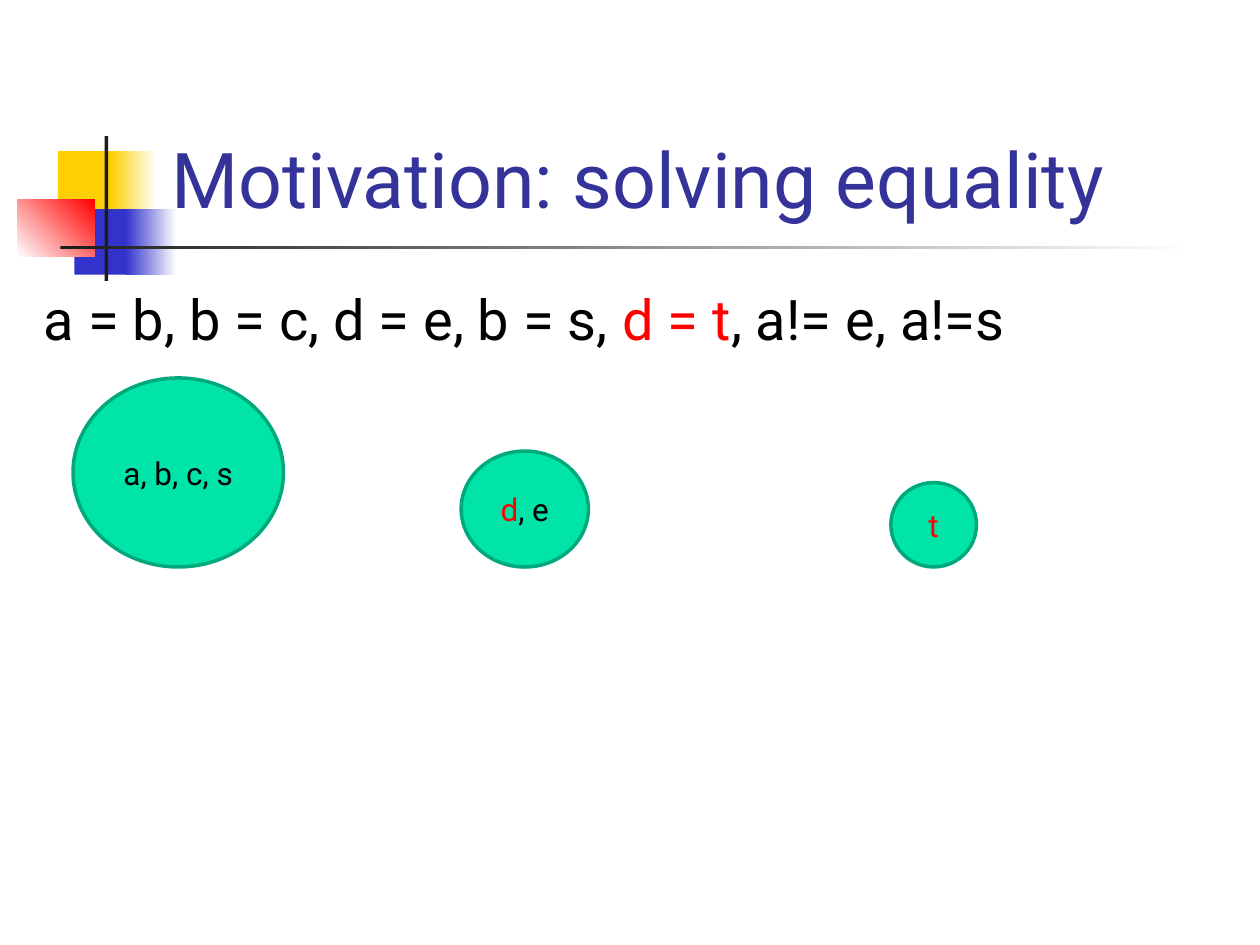
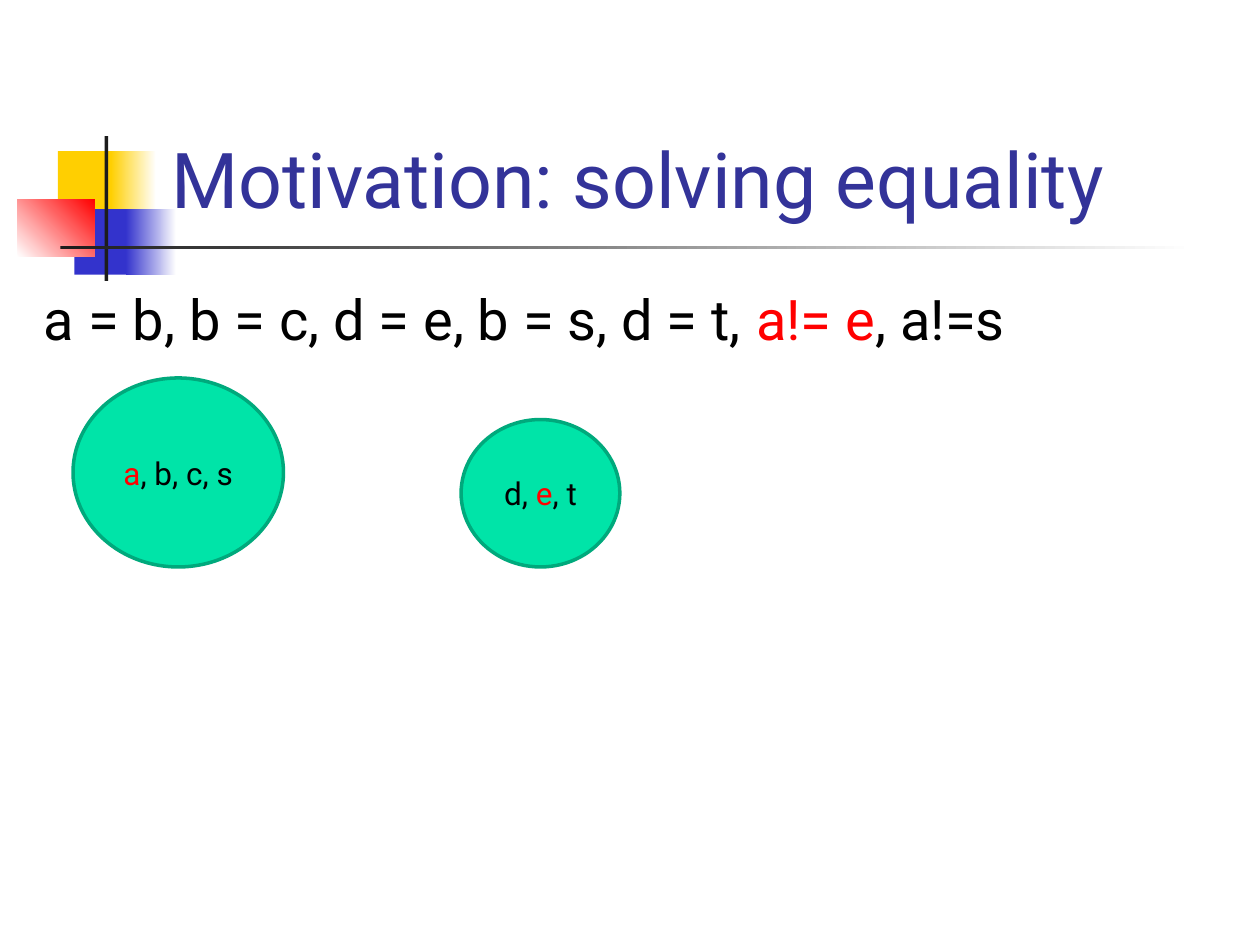
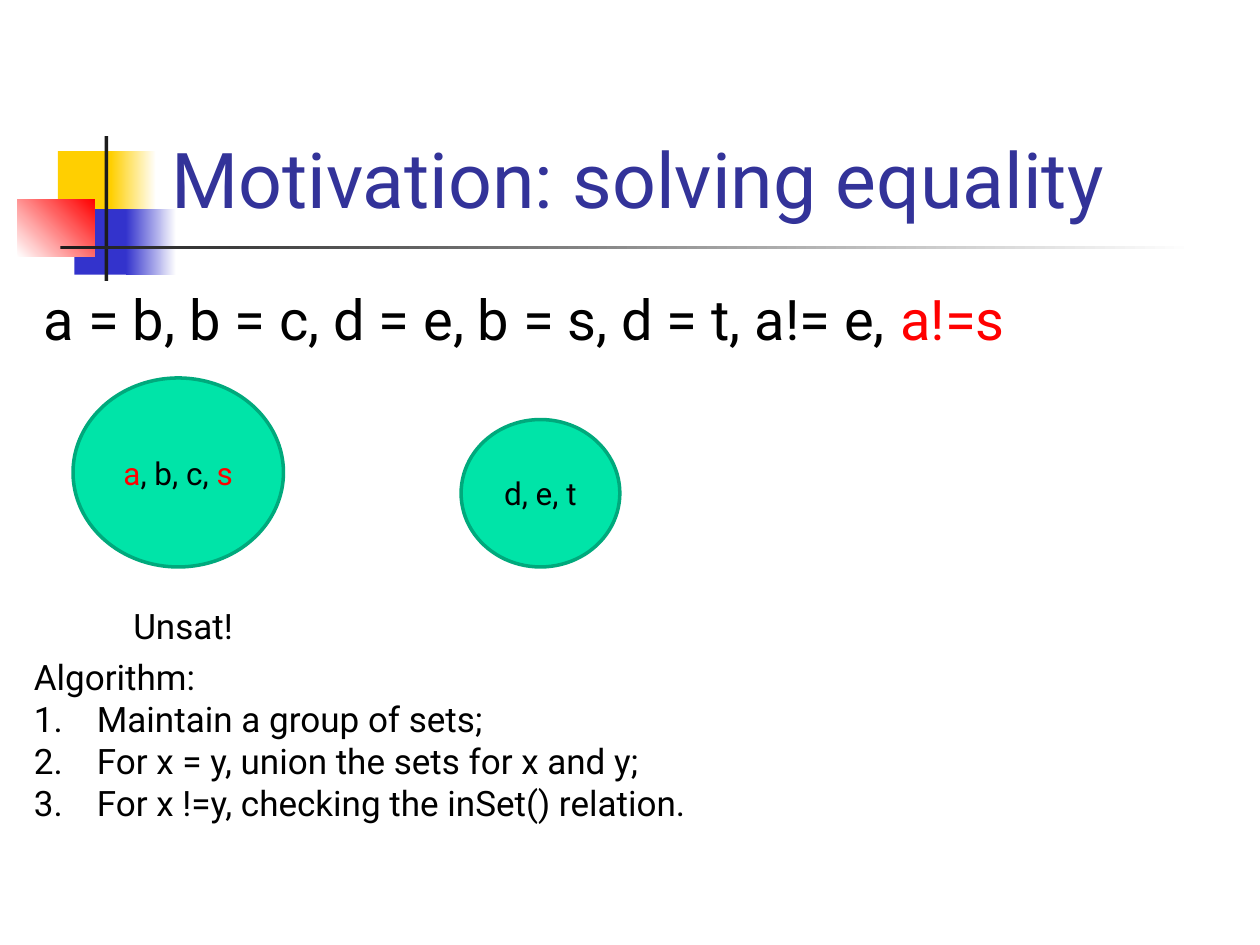
from dataclasses import dataclass

from lxml.etree import SubElement
from pptx import Presentation
from pptx.dml.color import RGBColor
from pptx.enum.shapes import MSO_SHAPE
from pptx.enum.text import MSO_ANCHOR, MSO_AUTO_SIZE, PP_ALIGN
from pptx.oxml.ns import qn
from pptx.shapes.autoshape import Shape
from pptx.slide import Slide
from pptx.text.text import TextFrame
from pptx.util import Inches, Pt


@dataclass(frozen=True)
class Theme:
    font: str = "Roboto"
    title: str = "333399"
    ink: str = "000000"
    highlight: str = "FF0000"
    paper: str = "FFFFFF"
    rule: str = "1C1C1C"
    yellow: str = "FFCF01"
    blue: str = "3333CC"
    class_fill: str = "00E4A8"
    class_line: str = "00A97C"
    title_size: int = 44
    formula_size: int = 32
    note_size: int = 20
    class_size: int = 18


THEME = Theme()


@dataclass(frozen=True)
class Box:
    left: float
    top: float
    width: float
    height: float


@dataclass(frozen=True)
class Block:
    """A part of the title ornament, fading to end_color if there is one."""
    box: Box
    color: str
    end_color: str | None = None
    angle: int = 0


@dataclass(frozen=True)
class EqualityClass:
    """A set of equal terms; terms between asterisks are highlighted."""
    terms: str
    left: float
    width: float
    height: float


@dataclass(frozen=True)
class Step:
    formula: str
    classes: tuple[EqualityClass, ...]


# Shared by all slides
TITLE = "Motivation: solving equality"
TITLE_BOX = Box(1.26, 0.23, 8.52, 1.6)
FORMULA_BOX = Box(0.25, 2.21, 9.54, 4.5)
CLASS_BASELINE = 4.5
ORNAMENT = (
    Block(Box(0.46, 1.2, 0.48, 0.52), THEME.yellow),
    Block(Box(0.88, 1.2, 0.36, 0.52), THEME.yellow, THEME.paper),
    Block(Box(0.59, 1.66, 0.46, 0.52), THEME.blue),
    Block(Box(1, 1.66, 0.4, 0.52), THEME.blue, THEME.paper),
    Block(Box(0.14, 1.58, 0.61, 0.46), THEME.paper, THEME.highlight, 45),
    Block(Box(0.83, 1.08, 0.03, 1.15), THEME.rule),
    Block(Box(0.48, 1.95, 9, 0.03), THEME.rule, THEME.paper),
)


# Content of each slide
def large_class(terms: str) -> EqualityClass:
    return EqualityClass(terms, 0.58, 1.67, 1.5)


def merged_class(terms: str) -> EqualityClass:
    return EqualityClass(terms, 3.66, 1.26, 1.17)


STEPS = (
    Step("a = b, b = c, d = e, b = s, *d = t*, a!= e, a!=s",
         (large_class("a, b, c, s"),
          EqualityClass("*d*, e", 3.66, 1.01, 0.92),
          EqualityClass("*t*", 7.07, 0.68, 0.67))),
    Step("a = b, b = c, d = e, b = s, d = t, *a!= e*, a!=s",
         (large_class("*a*, b, c, s"), merged_class("d, *e*, t"))),
    Step("a = b, b = c, d = e, b = s, d = t, a!= e, *a!=s*",
         (large_class("*a*, b, c, *s*"), merged_class("d, e, t"))),
)
VERDICT = "Unsat!"
ALGORITHM_HEADING = "Algorithm:"
ALGORITHM = (
    "Maintain a group of sets;",
    "For x = y, union the sets for x and y;",
    "For x !=y, checking the inSet() relation.",
)


def rgb(color: str) -> RGBColor:
    return RGBColor.from_string(color)


# Drawing helpers
def write(frame: TextFrame, text: str, *, size: int, color: str = THEME.ink,
          align: PP_ALIGN = PP_ALIGN.LEFT, before: float = 0,
          numbered: bool = False, append: bool = False) -> None:
    """Write one paragraph; parts between asterisks are highlighted."""
    paragraph = frame.add_paragraph() if append else frame.paragraphs[0]
    paragraph.alignment = align
    paragraph.space_before = Pt(before)
    for index, part in enumerate(text.split("*")):
        if not part:
            continue
        run = paragraph.add_run()
        run.text = part
        run.font.name = THEME.font
        run.font.size = Pt(size)
        run.font.color.rgb = rgb(THEME.highlight if index % 2 else color)
    if numbered:
        properties = paragraph._p.get_or_add_pPr()
        properties.set("marL", str(Inches(0.5)))
        properties.set("indent", str(Inches(-0.5)))
        SubElement(properties, qn("a:buAutoNum"), type="arabicPeriod")


def place(box: Box) -> tuple[Inches, Inches, Inches, Inches]:
    return (Inches(box.left), Inches(box.top),
            Inches(box.width), Inches(box.height))


def add_frame(slide: Slide, box: Box, *, wrap: bool = True,
              anchor: MSO_ANCHOR = MSO_ANCHOR.TOP) -> TextFrame:
    frame = slide.shapes.add_textbox(*place(box)).text_frame
    frame.word_wrap = wrap
    frame.vertical_anchor = anchor
    frame.auto_size = (MSO_AUTO_SIZE.NONE if wrap
                       else MSO_AUTO_SIZE.SHAPE_TO_FIT_TEXT)
    return frame


def add_filled(slide: Slide, preset: MSO_SHAPE, box: Box, color: str) -> Shape:
    shape = slide.shapes.add_shape(preset, *place(box))
    shape.shadow.inherit = False
    shape.fill.solid()
    shape.fill.fore_color.rgb = rgb(color)
    return shape


def draw_block(slide: Slide, block: Block) -> None:
    shape = add_filled(slide, MSO_SHAPE.RECTANGLE, block.box, block.color)
    shape.line.fill.background()
    if block.end_color:
        shape.fill.gradient()
        shape.fill.gradient_angle = block.angle
        for stop, color in zip(shape.fill.gradient_stops,
                               (block.color, block.end_color)):
            stop.color.rgb = rgb(color)


def draw_class(slide: Slide, group: EqualityClass) -> None:
    box = Box(group.left, CLASS_BASELINE - group.height,
              group.width, group.height)
    circle = add_filled(slide, MSO_SHAPE.OVAL, box, THEME.class_fill)
    circle.line.color.rgb = rgb(THEME.class_line)
    circle.line.width = Pt(2)
    circle.text_frame.vertical_anchor = MSO_ANCHOR.MIDDLE
    write(circle.text_frame, group.terms, size=THEME.class_size,
          align=PP_ALIGN.CENTER)


def draw_step(slide: Slide, step: Step) -> None:
    for block in ORNAMENT:
        draw_block(slide, block)
    write(add_frame(slide, TITLE_BOX, anchor=MSO_ANCHOR.BOTTOM), TITLE,
          size=THEME.title_size, color=THEME.title)
    write(add_frame(slide, FORMULA_BOX), step.formula,
          size=THEME.formula_size, before=0.2 * THEME.formula_size)
    for group in step.classes:
        draw_class(slide, group)


def draw_conclusion(slide: Slide) -> None:
    verdict = add_frame(slide, Box(0.96, 4.75, 1, 0.44), wrap=False)
    write(verdict, VERDICT, size=THEME.note_size)
    algorithm = add_frame(slide, Box(0.17, 5.15, 5.58, 1.45), wrap=False)
    write(algorithm, ALGORITHM_HEADING, size=THEME.note_size)
    for instruction in ALGORITHM:
        write(algorithm, instruction, size=THEME.note_size,
              numbered=True, append=True)


def main() -> None:
    deck = Presentation()
    deck.slide_width, deck.slide_height = Inches(10), Inches(7.5)
    blank = deck.slide_layouts[6]
    for step in STEPS:
        slide = deck.slides.add_slide(blank)
        draw_step(slide, step)
    # The last step ends with the verdict and the algorithm
    draw_conclusion(slide)
    deck.save("out.pptx")


if __name__ == "__main__":
    main()
